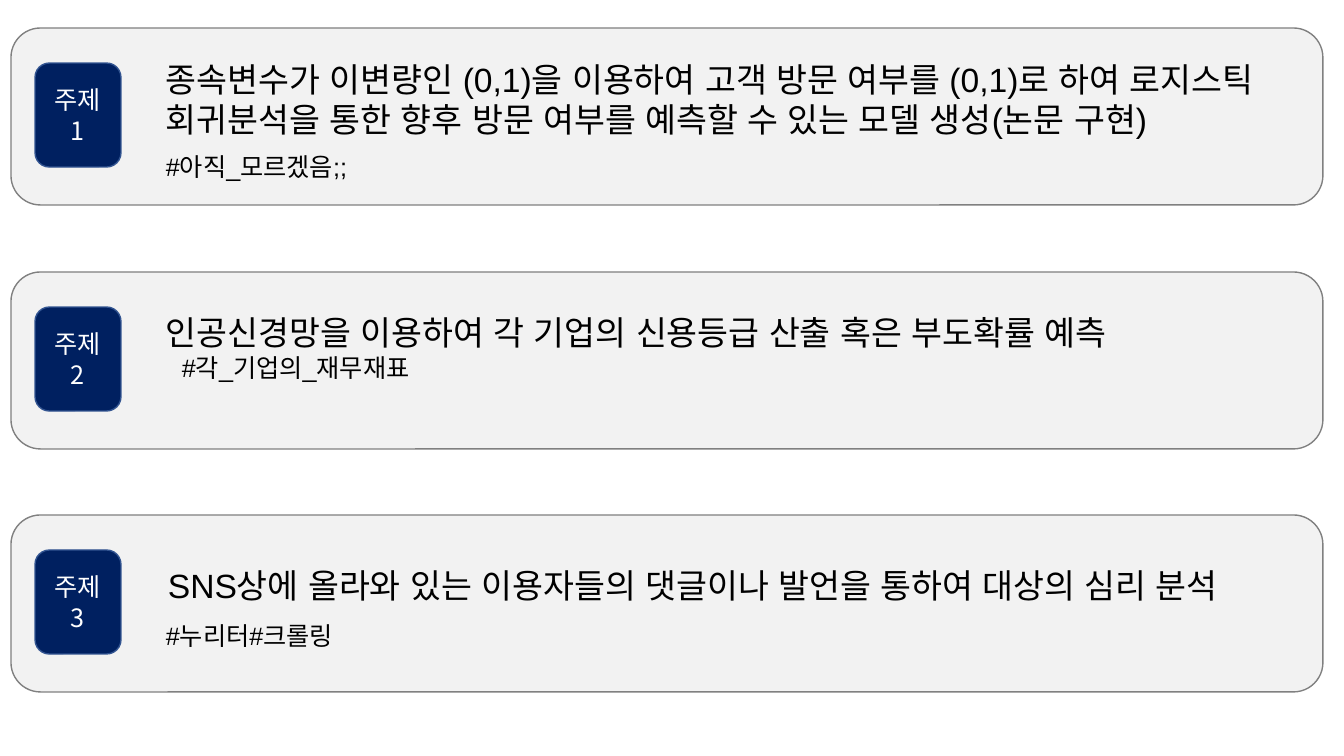
from dataclasses import dataclass

from lxml.etree import SubElement
from pptx import Presentation
from pptx.dml.color import RGBColor
from pptx.enum.shapes import MSO_SHAPE as Shape
from pptx.enum.text import MSO_ANCHOR as Anchor, PP_ALIGN as Align
from pptx.oxml.ns import qn
from pptx.text.text import TextFrame
from pptx.util import Emu, Pt

PX = 12192000 / 1344
CARD_FILL = RGBColor(0xF2, 0xF2, 0xF2)
CARD_LINE = RGBColor(0x80, 0x80, 0x80)
NAVY = RGBColor(0x00, 0x20, 0x60)
BADGE_LINE = RGBColor(0x32, 0x54, 0x91)
BLACK = RGBColor(0, 0, 0)
WHITE = RGBColor(0xFF, 0xFF, 0xFF)


@dataclass(frozen=True)
class Box:
    """A rectangle in pixels."""
    x: int
    y: int
    w: int
    h: int

    def emu(self) -> list[Emu]:
        """Return left, top, width and height in EMU."""
        return [Emu(round(v * PX)) for v in (self.x, self.y, self.w, self.h)]


@dataclass(frozen=True)
class Topic:
    """A numbered topic card with its statement and hashtags."""
    top: int
    statement: str
    statement_box: Box
    tags: str
    tags_box: Box


TOPICS = [
    Topic(28, "종속변수가 이변량인 (0,1)을 이용하여 고객 방문 여부를 (0,1)로 하여 로지스틱 "
          "회귀분석을 통한 향후 방문 여부를 예측할 수 있는 모델 생성(논문 구현)",
          Box(156, 54, 1165, 92), "#아직_모르겠음;;", Box(156, 146, 665, 40)),
    Topic(272, "인공신경망을 이용하여 각 기업의 신용등급 산출 혹은 부도확률 예측",
          Box(156, 307, 1154, 50), "#각_기업의_재무재표", Box(172, 347, 581, 40)),
    Topic(515, "SNS상에 올라와 있는 이용자들의 댓글이나 발언을 통하여 대상의 심리 분석",
          Box(158, 560, 1165, 50), "#누리터#크롤링", Box(156, 615, 647, 40)),
]


def write(tf: TextFrame, text: str, *, size: int = 18, font: str = "Arial",
          color: RGBColor = BLACK, align: Align = Align.LEFT) -> None:
    """Write one wrapped paragraph, using the font for Korean as well."""
    tf.word_wrap = True
    p = tf.paragraphs[0]
    p.alignment = align
    r = p.add_run()
    r.text = text
    r.font.size = Pt(size)
    r.font.name = font
    r.font.color.rgb = color
    SubElement(r.font._element, qn("a:ea")).set("typeface", font)


def add_panel(slide, box: Box, *, fill: RGBColor, line: RGBColor):
    """Add a flat rounded rectangle and return it."""
    sp = slide.shapes.add_shape(Shape.ROUNDED_RECTANGLE, *box.emu())
    sp.shadow.inherit = False
    sp.fill.solid()
    sp.fill.fore_color.rgb = fill
    sp.line.color.rgb = line
    sp.line.width = Pt(1)
    return sp


def add_topic(slide, number: int, topic: Topic) -> None:
    """Draw a topic card with its badge and texts."""
    add_panel(slide, Box(11, topic.top, 1312, 177), fill=CARD_FILL, line=CARD_LINE)
    for text, box, size in ((topic.tags, topic.tags_box, 18),
                            (topic.statement, topic.statement_box, 24)):
        write(slide.shapes.add_textbox(*box.emu()).text_frame, text, size=size)
    badge = add_panel(slide, Box(35, topic.top + 35, 86, 104),
                      fill=NAVY, line=BADGE_LINE)
    badge.text_frame.vertical_anchor = Anchor.MIDDLE
    write(badge.text_frame, f"주제{number}", font="Noto Sans CJK KR",
          color=WHITE, align=Align.CENTER)


def main() -> None:
    """Build and save the slide."""
    prs = Presentation()
    prs.slide_width, prs.slide_height = Box(0, 0, 1344, 756).emu()[2:]
    slide = prs.slides.add_slide(prs.slide_layouts[6])
    for number, topic in enumerate(TOPICS, 1):
        add_topic(slide, number, topic)
    prs.save("out.pptx")


main()
